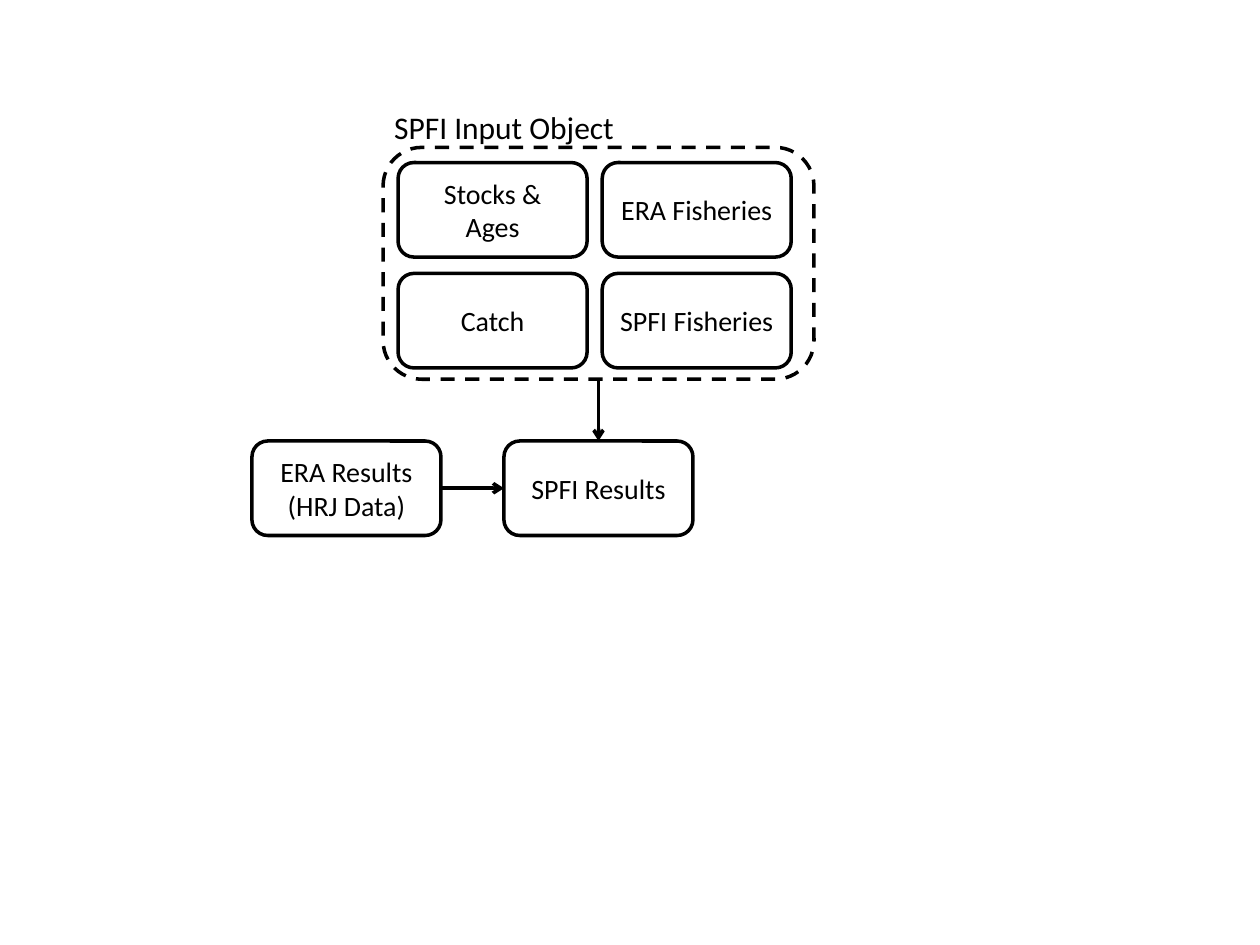
from lxml.etree import SubElement
from pptx import Presentation
from pptx.dml.color import RGBColor
from pptx.enum.dml import MSO_LINE
from pptx.enum.shapes import MSO_CONNECTOR, MSO_SHAPE
from pptx.enum.text import MSO_ANCHOR, PP_ALIGN
from pptx.oxml.ns import qn
from pptx.util import Inches, Pt

INK = RGBColor.from_string("000000")
WIDE, HIGH = 1.5, 0.75


def write(frame, lines, size, align):
    frame.word_wrap = True
    for i, line in enumerate(lines):
        para = frame.paragraphs[0] if i == 0 else frame.add_paragraph()
        para.alignment = align
        run = para.add_run()
        run.text = line
        run.font.name = "Calibri"
        run.font.size = Pt(size)
        run.font.color.rgb = INK


def add_box(left, top, wide=WIDE, high=HIGH, lines=()):
    box = shapes.add_shape(MSO_SHAPE.ROUNDED_RECTANGLE, Inches(left),
                           Inches(top), Inches(wide), Inches(high))
    box.shadow.inherit = False
    box.fill.background()
    box.line.color.rgb = INK
    box.line.width = Pt(2)
    box.text_frame.vertical_anchor = MSO_ANCHOR.MIDDLE
    write(box.text_frame, lines, 16, PP_ALIGN.CENTER)
    return box


prs = Presentation()
prs.slide_width, prs.slide_height = Inches(10), Inches(7.5)
shapes = prs.slides.add_slide(prs.slide_layouts[6]).shapes

# Results row
result = add_box(4, 3.5, lines=["SPFI Results"])
era = add_box(2, 3.5, lines=["ERA Results", "(HRJ Data)"])

# Input object: dashed frame around a grid of two by two
group = add_box(3.04, 1.17, 3.42, 1.84)
group.line.dash_style = MSO_LINE.DASH
grid = [["Stocks & Ages", "ERA Fisheries"], ["Catch", "SPFI Fisheries"]]
for row, names in enumerate(grid):
    for col, name in enumerate(names):
        add_box(3.16 + col * (WIDE + 0.12), 1.29 + row * (HIGH + 0.13),
                lines=[name])

label = shapes.add_textbox(Inches(3.03), Inches(0.81), Inches(3.1), Inches(0.4))
write(label.text_frame, ["SPFI Input Object"], 18, PP_ALIGN.LEFT)

# Arrows into the results
for start, out, into in [(era, 3, 1), (group, 2, 0)]:
    arrow = shapes.add_connector(MSO_CONNECTOR.STRAIGHT, 0, 0, 0, 0)
    arrow.begin_connect(start, out)
    arrow.end_connect(result, into)
    arrow.line.color.rgb = INK
    arrow.line.width = Pt(2)
    SubElement(arrow.line._get_or_add_ln(), qn("a:tailEnd"), type="arrow")
    SubElement(arrow._element.spPr, qn("a:effectLst"))

prs.save("out.pptx")
